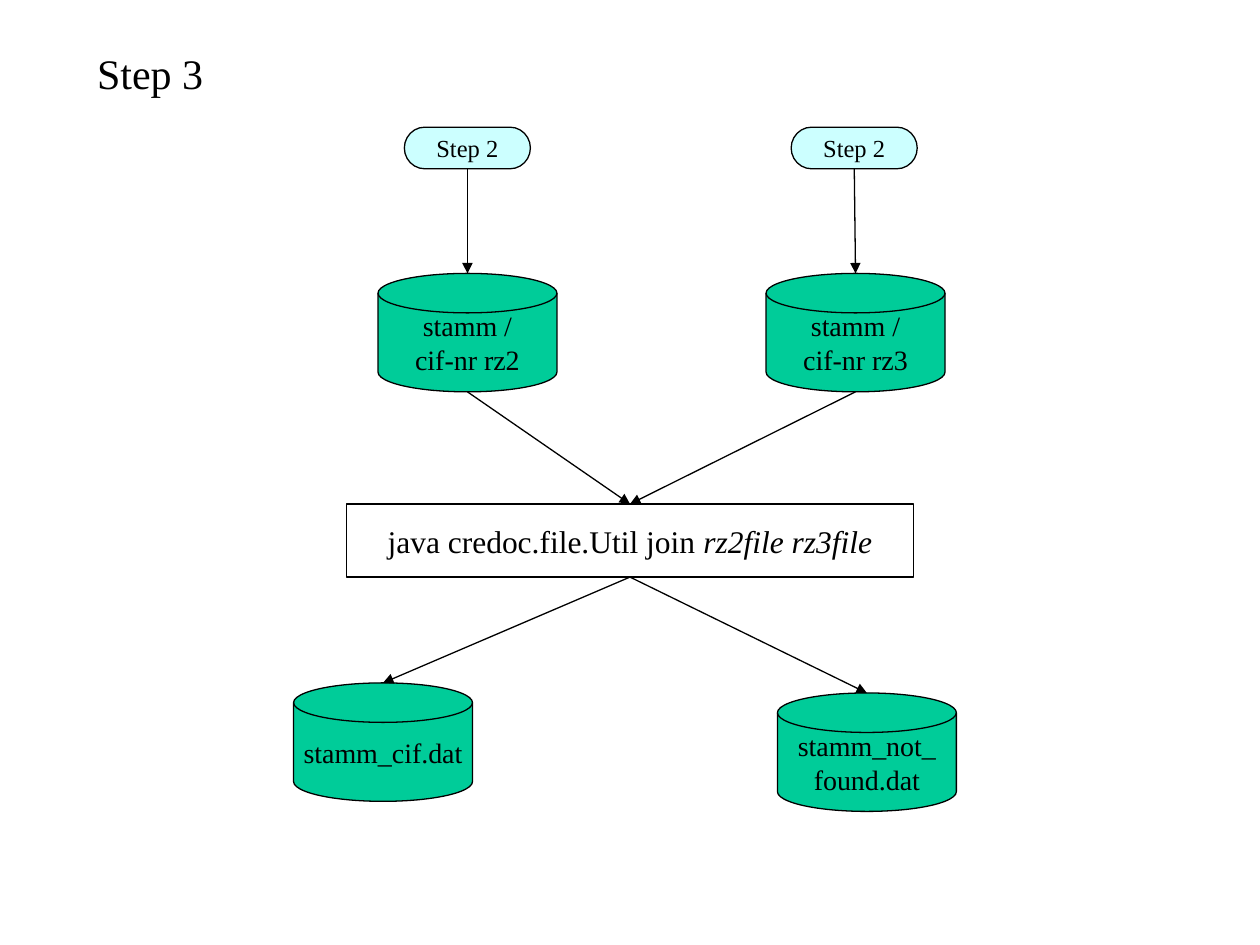
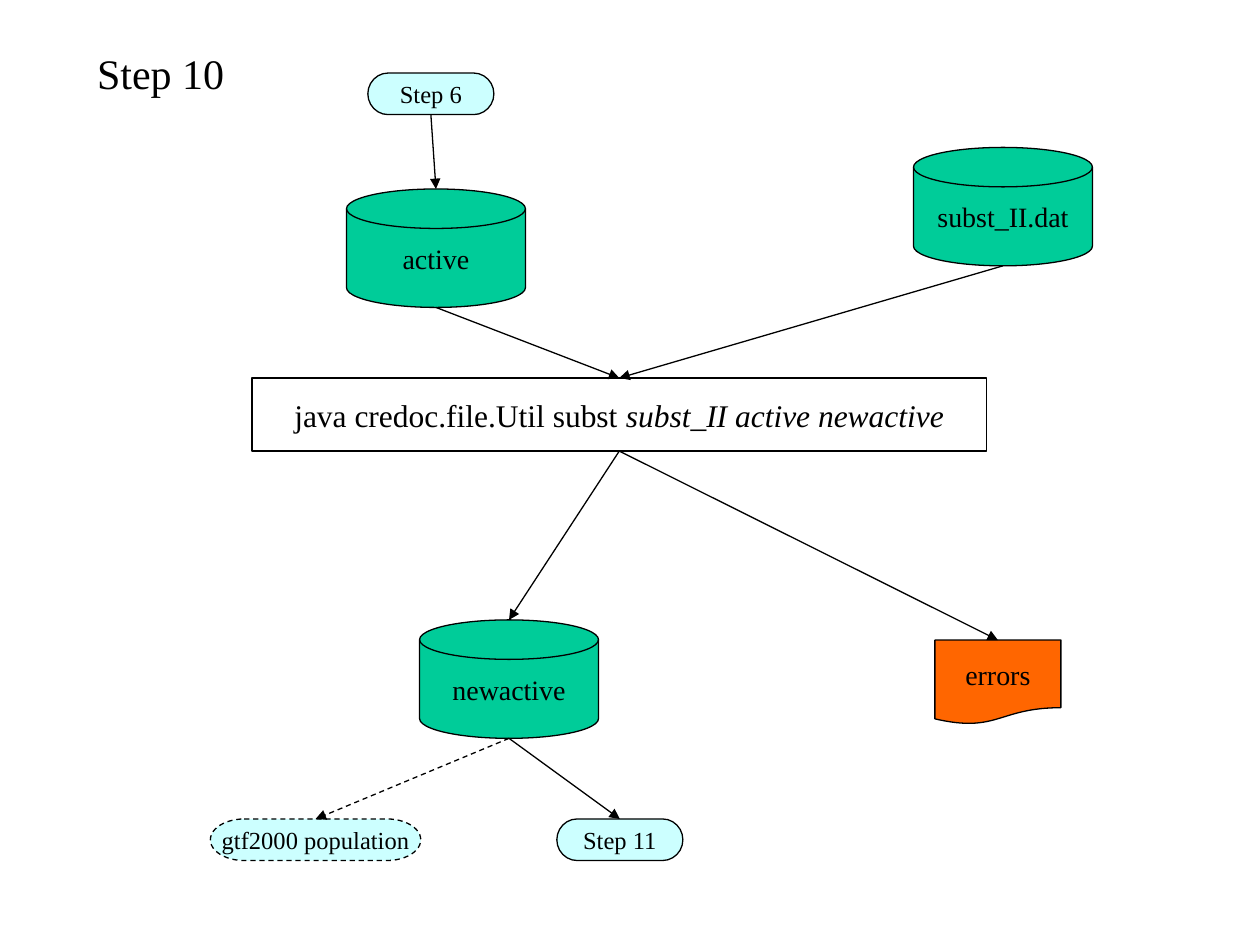
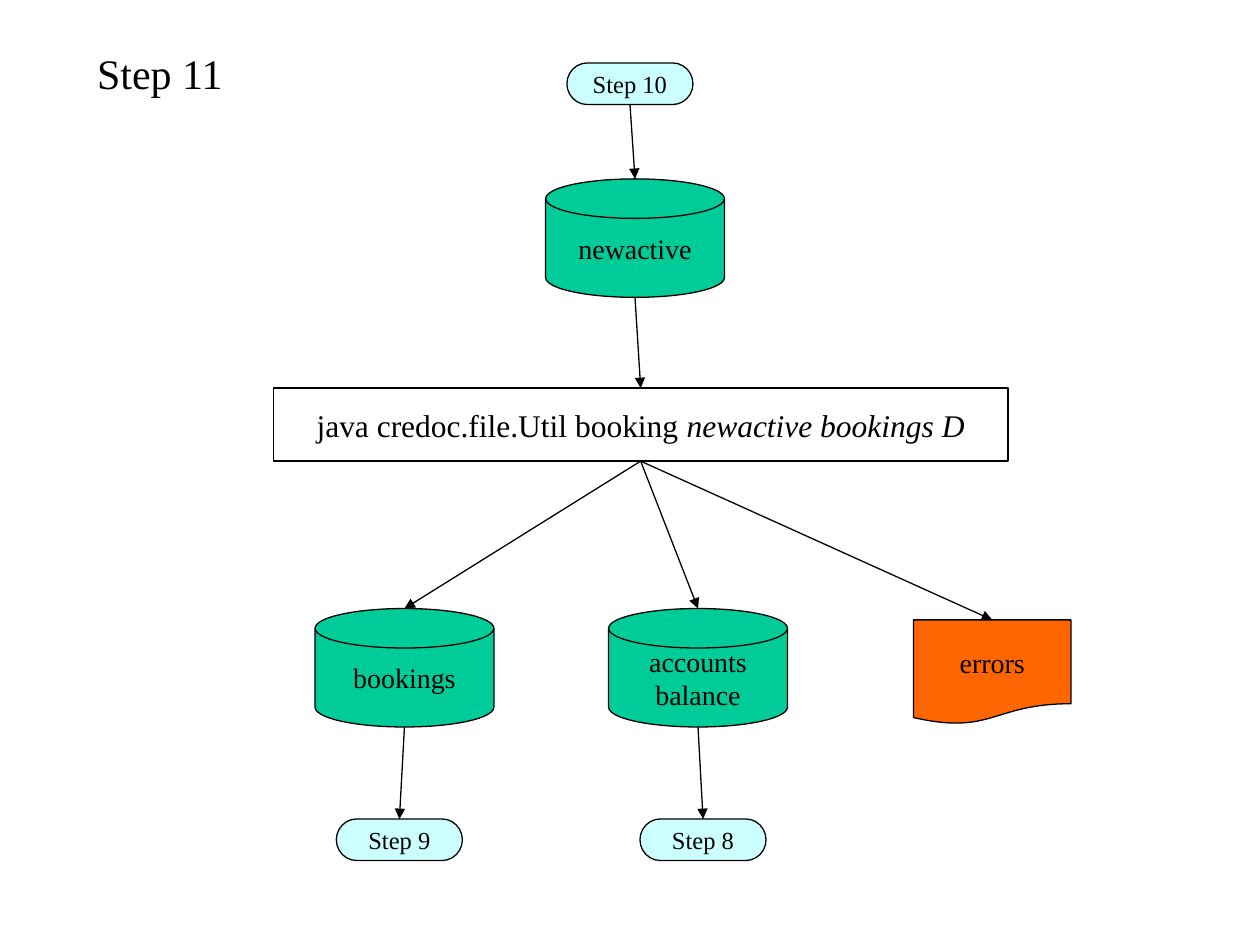
from lxml.etree import SubElement
from pptx import Presentation
from pptx.dml.color import RGBColor
from pptx.enum.dml import MSO_LINE
from pptx.enum.shapes import MSO_CONNECTOR, MSO_SHAPE as SHAPE
from pptx.enum.text import MSO_ANCHOR as ANCHOR, MSO_AUTO_SIZE, PP_ALIGN as ALIGN
from pptx.oxml.ns import qn
from pptx.util import Inches, Pt

BLACK = RGBColor(0x00, 0x00, 0x00)
GREEN = RGBColor(0x00, 0xCC, 0x99)
CYAN = RGBColor(0xCC, 0xFF, 0xFF)
ORANGE = RGBColor(0xFF, 0x66, 0x00)

FONT = "Times New Roman"
LINE_WIDTH = Pt(0.74)
TITLE_ONLY = 5


def write(frame, text, size=16, italic_end="", align=ALIGN.CENTER, anchor=ANCHOR.MIDDLE):
    """Write one paragraph per line; italic_end follows the last line in italics."""
    frame.word_wrap = False
    frame.auto_size = MSO_AUTO_SIZE.NONE
    frame.vertical_anchor = anchor
    frame.text = text
    if italic_end:
        span = frame.paragraphs[-1].add_run()
        span.text = italic_end
        span.font.italic = True
    for para in frame.paragraphs:
        para.alignment = align
        for span in para.runs:
            span.font.name = FONT
            span.font.size = Pt(size)
            span.font.color.rgb = BLACK


class FlowDeck:
    """The flowchart style and the current page."""

    def __init__(self):
        self.deck = Presentation()
        self.deck.slide_width = Inches(10)
        self.deck.slide_height = Inches(7.5)
        self.page = None

    def new_page(self, title):
        self.page = self.deck.slides.add_slide(self.deck.slide_layouts[TITLE_ONLY])
        box = self.page.shapes.title
        box.left, box.top = Inches(0.67), Inches(0.33)
        box.width, box.height = Inches(1.21), Inches(0.5)
        write(box.text_frame, title, size=24, align=ALIGN.LEFT, anchor=ANCHOR.TOP)

    def outline(self, line, dashed=False):
        line.color.rgb = BLACK
        line.width = LINE_WIDTH
        if dashed:
            line.dash_style = MSO_LINE.DASH

    def node(self, kind, left, top, width, height, text, fill=None, dashed=False, **text_format):
        box = self.page.shapes.add_shape(
            kind, Inches(left), Inches(top), Inches(width), Inches(height))
        box.shadow.inherit = False
        if fill is None:
            box.fill.background()
        else:
            box.fill.solid()
            box.fill.fore_color.rgb = fill
        self.outline(box.line, dashed)
        write(box.text_frame, text, **text_format)
        return box

    def store(self, left, top, text):
        return self.node(SHAPE.FLOWCHART_MAGNETIC_DISK, left, top, 1.42, 0.94, text, GREEN)

    def step(self, left, top, text, width=1, dashed=False):
        return self.node(SHAPE.FLOWCHART_TERMINATOR, left, top, width, 0.33, text, CYAN,
                         dashed, size=14)

    def command(self, left, top, width, text, arguments):
        return self.node(SHAPE.RECTANGLE, left, top, width, 0.58, text,
                         size=18, italic_end=arguments)

    def document(self, left, top, width, height, text):
        return self.node(SHAPE.FLOWCHART_DOCUMENT, left, top, width, height, text, ORANGE)

    def arrow(self, source, target, dashed=False):
        """Point from the bottom centre of source to the top centre of target."""
        link = self.page.shapes.add_connector(
            MSO_CONNECTOR.STRAIGHT,
            source.left + source.width // 2, source.top + source.height,
            target.left + target.width // 2, target.top)
        self.outline(link.line, dashed)
        SubElement(link.line._get_or_add_ln(), qn("a:tailEnd"), type="triangle")
        SubElement(link._element.spPr, qn("a:effectLst"))


flow = FlowDeck()

# Step 3: join the two master files
flow.new_page("Step 3")
join = flow.command(2.75, 4, 4.5, "java credoc.file.Util join ", "rz2file rz3file")
for step_left, store_left, name in ((3.21, 3, "rz2"), (6.28, 6.08, "rz3")):
    previous = flow.step(step_left, 1.01, "Step 2")
    master = flow.store(store_left, 2.17, f"stamm /\ncif-nr {name}")
    flow.arrow(previous, master)
    flow.arrow(master, join)
flow.arrow(join, flow.store(2.33, 5.42, "stamm_cif.dat"))
flow.arrow(join, flow.store(6.17, 5.5, "stamm_not_\nfound.dat"))

# Step 10: substitute in the active file
flow.new_page("Step 10")
subst = flow.command(2, 3, 5.83, "java credoc.file.Util subst ", "subst_II active newactive")
active = flow.store(2.75, 1.5, "active")
flow.arrow(flow.step(2.92, 0.58, "Step 6"), active)
flow.arrow(active, subst)
flow.arrow(flow.store(7.25, 1.17, "subst_II.dat"), subst)
newactive = flow.store(3.33, 4.92, "newactive")
flow.arrow(subst, newactive)
flow.arrow(subst, flow.document(7.42, 5.08, 1, 0.67, "errors"))
population = flow.step(1.67, 6.5, "gtf2000 population", width=1.67, dashed=True)
flow.arrow(newactive, population, dashed=True)
flow.arrow(newactive, flow.step(4.42, 6.5, "Step 11"))

# Step 11: create the bookings
flow.new_page("Step 11")
booking = flow.command(2.17, 3.08, 5.83, "java credoc.file.Util booking ", "newactive bookings D")
newactive = flow.store(4.33, 1.42, "newactive")
flow.arrow(flow.step(4.5, 0.5, "Step 10"), newactive)
flow.arrow(newactive, booking)
for store_left, name, step_left, following in (
        (2.5, "bookings", 2.67, "Step 9"),
        (4.83, "accounts\nbalance", 5.08, "Step 8")):
    result = flow.store(store_left, 4.83, name)
    flow.arrow(booking, result)
    flow.arrow(result, flow.step(step_left, 6.5, following))
flow.arrow(booking, flow.document(7.25, 4.92, 1.25, 0.83, "errors"))

flow.deck.save("out.pptx")
